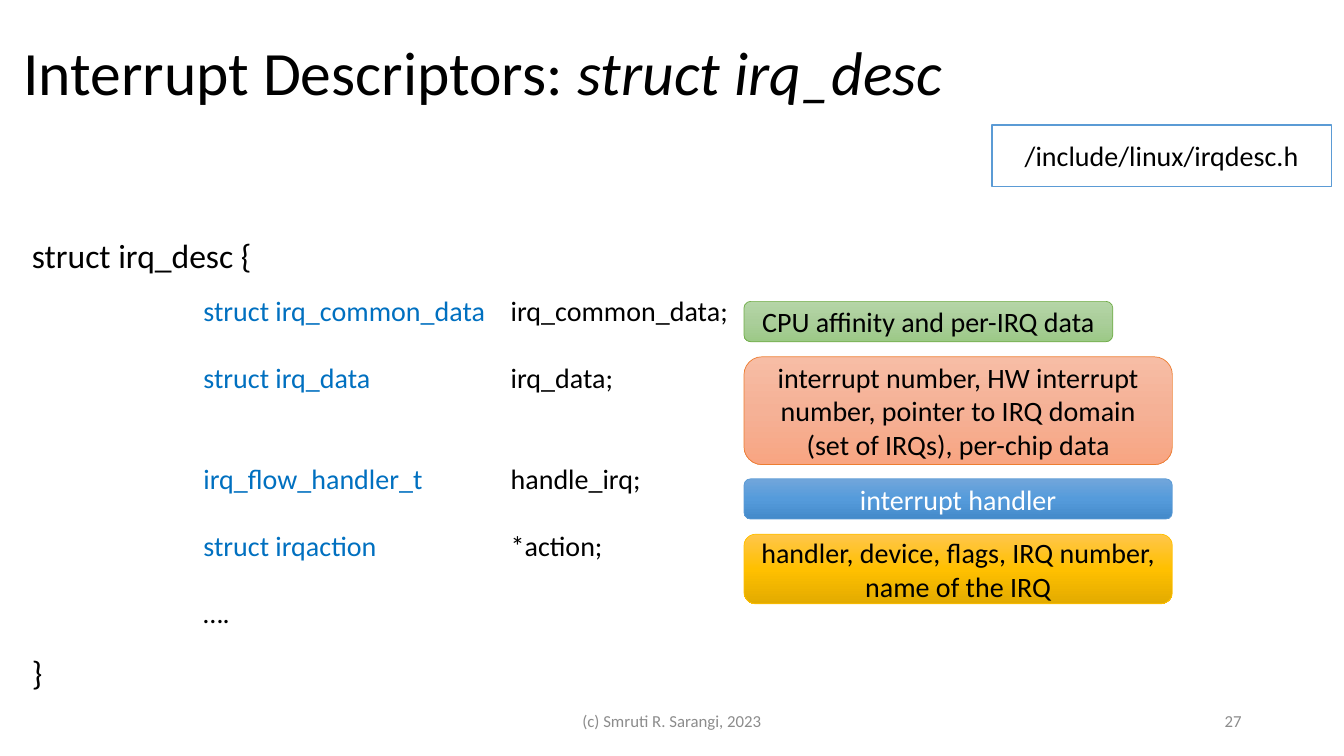
"""Build the slide on interrupt descriptors and struct irq_desc."""
from copy import deepcopy
from pptx import Presentation
from pptx.dml.color import RGBColor
from pptx.enum import shapes, text
from pptx.oxml import ns, parse_xml
from pptx.util import Pt

HUES = {"black": "000000", "white": "FFFFFF", "gray": "8C8C8C",
        "code": "0070C0", "blue": "5B9BD5", "green": "70AD47",
        "orange": "ED7D31", "gold": "FFC000"}
FADES = {"green": ("B5D5A7", "AACE9A", "9CC987"),
         "orange": ("F7BDA5", "F5B196", "F8A582"),
         "blue": ("71A6DB", "559BDB", "448ACA"),
         "gold": ("FFC64B", "FFC000", "E3AB00")}
ALIGN, SHAPE = text.PP_ALIGN, shapes.MSO_SHAPE


def style(para, size, hue="black", align=ALIGN.LEFT):
    para.alignment = align
    for run in para.runs:
        run.font.name, run.font.size = "Calibri", Pt(size)
        run.font.color.rgb = RGBColor.from_string(HUES[hue])


def write(shape, words, size, hue="black", align=ALIGN.LEFT,
          anchor=text.MSO_ANCHOR.MIDDLE):
    frame = shape.text_frame
    frame.word_wrap, frame.vertical_anchor = True, anchor
    frame.text = words
    for para in frame.paragraphs:
        style(para, size, hue, align)


deck = Presentation()
deck.slide_width, deck.slide_height = Pt(960), Pt(540)
slide = deck.slides.add_slide(deck.slide_layouts[5])
items = slide.shapes

title = items.title
title.left, title.top, title.width, title.height = Pt(9.4), Pt(2), Pt(828), Pt(104.4)
write(title, "Interrupt Descriptors: ", 44)
title.text_frame.auto_size = text.MSO_AUTO_SIZE.NONE
head = title.text_frame.paragraphs[0]
head.line_spacing = 0.9
head.add_run().text = "struct irq_desc"
style(head, 44)
head.runs[1].font.italic = True

for left, width, words, align in (
        (318, 324, "(c) Smruti R. Sarangi, 2023", ALIGN.CENTER),
        (678, 216, "27", ALIGN.RIGHT)):
    foot = items.add_textbox(Pt(left), Pt(500.4), Pt(width), Pt(28.8))
    write(foot, words, 12, "gray", align)

file = items.add_shape(SHAPE.RECTANGLE, Pt(708.5), Pt(89.3), Pt(242.6), Pt(43.9))
file.shadow.inherit = False
file.fill.solid()
file.fill.fore_color.rgb = RGBColor.from_string(HUES["white"])
file.line.color.rgb = RGBColor.from_string(HUES["blue"])
file.line.width = Pt(1)
write(file, "/include/linux/irqdesc.h", 20, align=ALIGN.CENTER)

for top, words in ((164.2, "struct irq_desc {"), (462.2, "}")):
    brace = items.add_textbox(Pt(15.8), Pt(top), Pt(172.8), Pt(36))
    write(brace, words, 24, anchor=text.MSO_ANCHOR.TOP)

fields = (("struct irq_common_data", "irq_common_data;", 0),
          ("struct irq_data", "irq_data;", 24),
          ("irq_flow_handler_t", "handle_irq;", 48),
          ("struct irqaction", "*action;", 24),
          ("….", "", 24))
body = items.add_textbox(Pt(138.2), Pt(205.9), Pt(392.4), Pt(249.8))
frame = body.text_frame
frame.word_wrap = True
for row, (kind, name, gap) in enumerate(fields):
    para = frame.add_paragraph() if row else frame.paragraphs[0]
    para.space_before = Pt(gap)
    para._p.get_or_add_pPr().append(parse_xml(
        f'<a:tabLst {ns.nsdecls("a")}><a:tab pos="{Pt(219.5)}" algn="l"/></a:tabLst>'))
    para.add_run().text = kind + "\t" if name else kind
    if name:
        para.add_run().text = name
    style(para, 20)
    if name:
        para.runs[0].font.color.rgb = RGBColor.from_string(HUES["code"])

notes = (
    (215.3, 263.5, 28.8, "green", "black", "CPU affinity and per-IRQ data"),
    (254.9, 306, 77, "orange", "black",
     "interrupt number, HW interrupt number, pointer to IRQ domain (set of IRQs), per-chip data"),
    (342, 306, 28.8, "blue", "white", "interrupt handler"),
    (381.6, 306, 49.7, "gold", "black",
     "handler, device, flags, IRQ number, name of the IRQ"))
for top, width, height, hue, ink, words in notes:
    note = items.add_shape(SHAPE.ROUNDED_RECTANGLE, Pt(531.4), Pt(top), Pt(width), Pt(height))
    note.shadow.inherit = False
    note.fill.gradient()
    note.fill.gradient_angle = 270
    stops = note._element.spPr.find(".//" + ns.qn("a:gsLst"))
    stops.insert(1, deepcopy(stops[0]))
    for step, (stop, tone) in enumerate(zip(note.fill.gradient_stops, FADES[hue])):
        stop.position = step / 2
        stop.color.rgb = RGBColor.from_string(tone)
    note.line.color.rgb = RGBColor.from_string(HUES[hue])
    note.line.width = Pt(0.5)
    write(note, words, 20, ink, ALIGN.CENTER)

deck.save("out.pptx")
